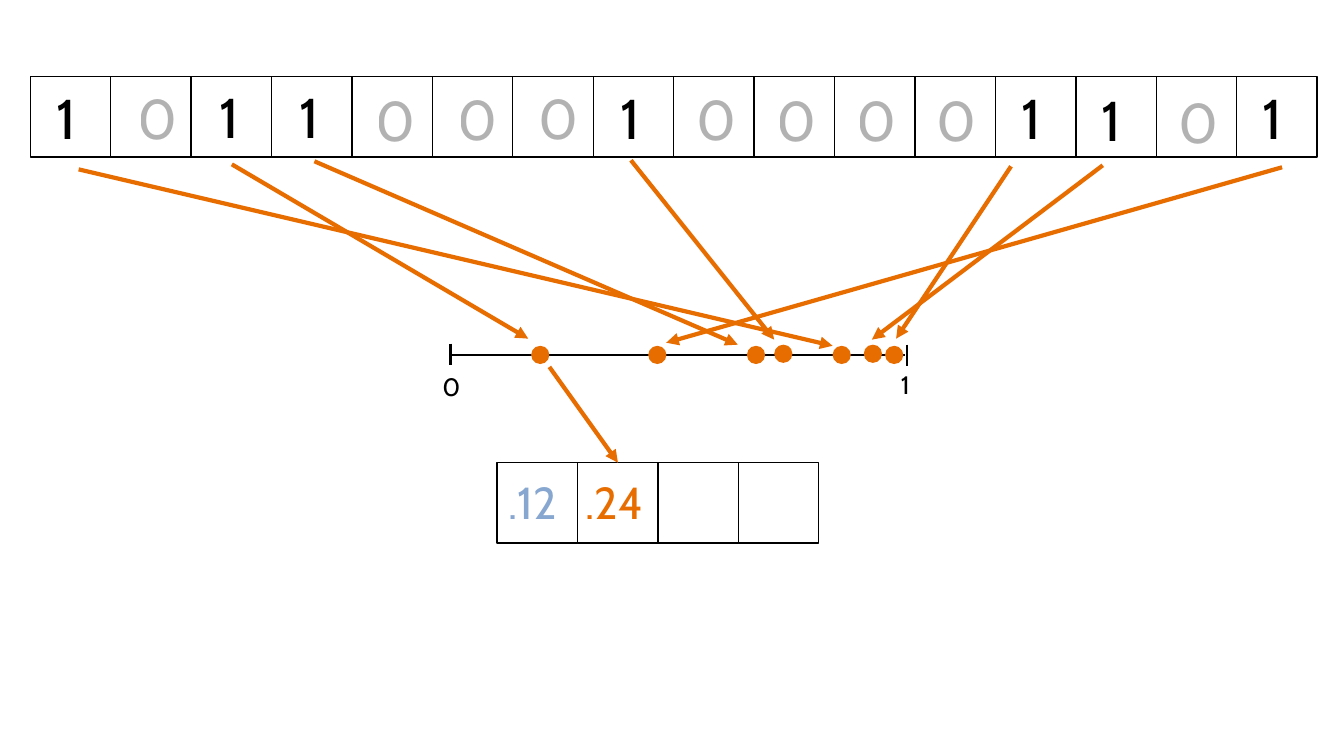
"""Builds a slide that hashes the set bits of a bit row onto the unit interval and a buffer."""
import lxml.etree
import pptx
import pptx.dml.color
import pptx.enum.shapes
import pptx.oxml.ns
import pptx.util

Pt = pptx.util.Pt
Shapes = pptx.enum.shapes.MSO_SHAPE
qn = pptx.oxml.ns.qn

BLACK = pptx.dml.color.RGBColor(0x00, 0x00, 0x00)
ORANGE = pptx.dml.color.RGBColor(0xE7, 0x6D, 0x00)
BLUE = pptx.dml.color.RGBColor(0x87, 0xA7, 0xD0)
CELL = 57.45
DOT = 13

deck = pptx.Presentation()
deck.slide_width, deck.slide_height = Pt(960), Pt(540)
slide = deck.slides.add_slide(deck.slide_layouts[6])


def add_label(text, left, top, width, height, size, color):
    label = slide.shapes.add_textbox(Pt(left), Pt(top), Pt(width), Pt(height))
    label.text_frame.word_wrap = True
    paragraph = label.text_frame.paragraphs[0]
    paragraph.text = text
    paragraph.font.name = "Cabin"
    paragraph.font.size = Pt(size)
    paragraph.font.color.rgb = color
    return paragraph


def add_line(x1, y1, x2, y2, color, width):
    line = slide.shapes.add_connector(
        pptx.enum.shapes.MSO_CONNECTOR.STRAIGHT, Pt(x1), Pt(y1), Pt(x2), Pt(y2))
    line.line.color.rgb = color
    line.line.width = Pt(width)
    lxml.etree.SubElement(line._element.spPr, qn("a:effectLst"))
    return line


for row_left, row_top, cell_count in [(21.6, 54.7, 16), (355, 330.5, 4)]:
    for column in range(cell_count):
        cell = slide.shapes.add_shape(
            Shapes.RECTANGLE, Pt(row_left + column * CELL), Pt(row_top), Pt(CELL), Pt(CELL))
        cell.shadow.inherit = False
        cell.fill.background()
        cell.line.color.rgb = BLACK
        cell.line.width = Pt(1)

bits = [
    ("1", 33.1, 56.2), ("0", 91.4, 56.2), ("1", 149.8, 55.4), ("1", 206.6, 55.4),
    ("0", 261.4, 57.6), ("0", 319.7, 56.9), ("0", 377.3, 56.2), ("1", 436.3, 56.2),
    ("0", 490.3, 56.9), ("0", 547.9, 57.6), ("0", 604.8, 57.6), ("0", 661.7, 57.6),
    ("1", 722.2, 56.2), ("1", 779.8, 57.6), ("0", 834.5, 59), ("1", 895, 56.2),
]
for bit, left, top in bits:
    digit = add_label(bit, left, top, 35.3, 55.4, 40, BLACK)
    if bit == "0":
        tint = digit._p.find(".//" + qn("a:srgbClr"))
        lxml.etree.SubElement(tint, qn("a:alpha")).set("val", "29000")

add_label(".12", 356.4, 335.5, 55.4, 46, 32, BLUE)

hash_arrows = [
    (56.2, 121, 594.7, 247),
    (165.6, 117.4, 377.3, 241.9),
    (224.6, 115.2, 527, 246.2),
    (450.7, 114.5, 553, 242.6),
    (722.2, 118.8, 640.1, 241.9),
    (787.7, 118.1, 622.8, 242.6),
    (915.8, 119.5, 475.9, 244.8),
    (392.4, 262.1, 441.4, 330.5),
]
for ends in hash_arrows:
    arrow = add_line(*ends, ORANGE, 3)
    outline = arrow.line._get_or_add_ln()
    lxml.etree.SubElement(outline, qn("a:tailEnd")).set("type", "triangle")

interval_lines = [
    (321.1, 253.4, 646.6, 253.4),
    (321.8, 245.5, 321.8, 260.6),
    (648, 246.2, 648, 261.4),
]
for ends in interval_lines:
    add_line(*ends, BLACK, 1.75)
add_label("0", 308.9, 261.4, 26.6, 28.8, 18, BLACK)
add_label("1", 636.5, 260.6, 26.6, 28.8, 18, BLACK)

hash_values = [(379.4, 247), (533.5, 247), (463, 247), (632.2, 247),
               (617, 246.2), (594.7, 247), (553, 246.2)]
for left, top in hash_values:
    dot = slide.shapes.add_shape(Shapes.OVAL, Pt(left), Pt(top), Pt(DOT), Pt(DOT))
    dot.shadow.inherit = False
    dot.fill.solid()
    dot.fill.fore_color.rgb = ORANGE
    dot.line.fill.background()

add_label(".24", 411.1, 335.5, 55.4, 46, 32, ORANGE)

deck.save("out.pptx")
